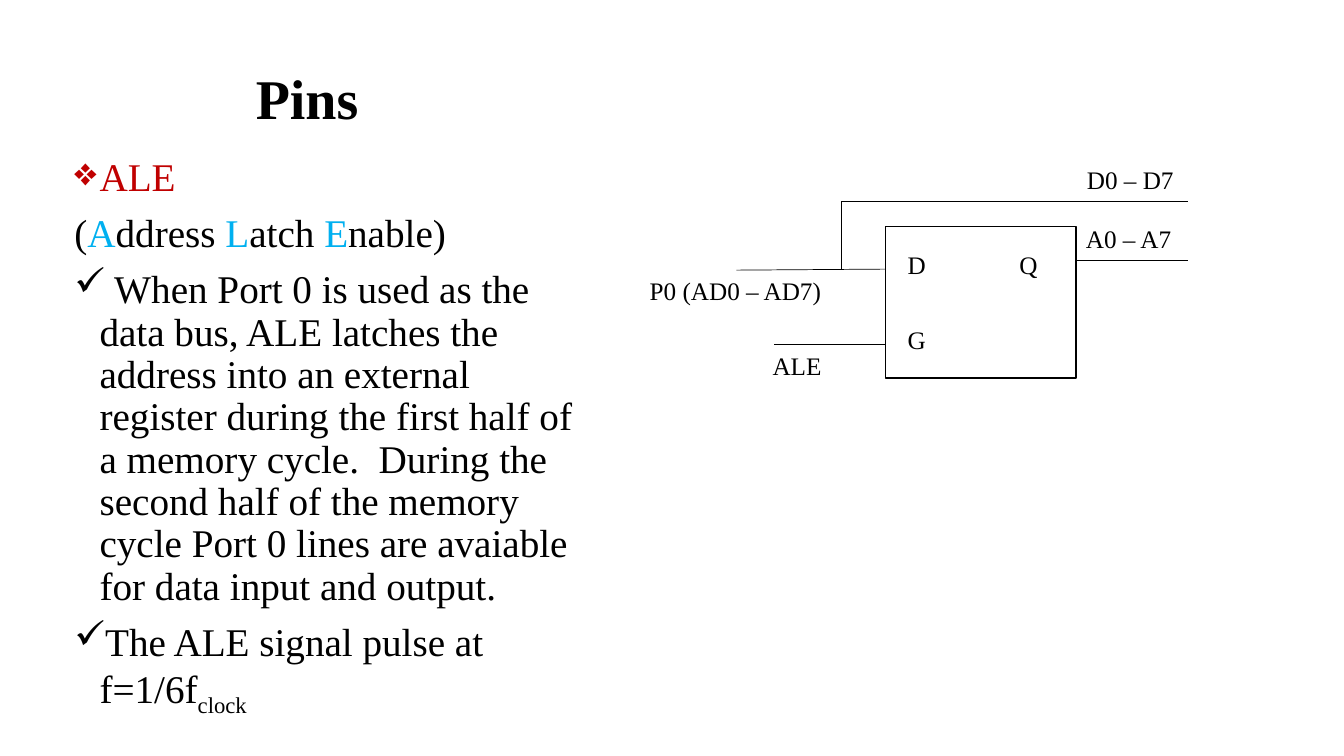
"""Build the slide on the ALE pin and its address latch."""
from lxml.etree import SubElement
from pptx import Presentation
from pptx.dml.color import RGBColor
from pptx.enum.shapes import MSO_CONNECTOR, MSO_SHAPE
from pptx.enum.text import MSO_ANCHOR
from pptx.oxml.ns import qn
from pptx.util import Emu, Pt

PX = 9144
FONT = "Times New Roman"
BLACK, RED, BLUE = "000000", "C00000", "00B0F0"

TITLE = ("Pins", (244, 66, 1089, 70))
BODY_BOX = (64, 151, 518, 533)
BODY = [
    ("❖", RED, [("ALE", RED, 0)]),
    (None, BLACK, [("(", BLACK, 0), ("A", BLUE, 0), ("ddress ", BLACK, 0),
                   ("L", BLUE, 0), ("atch ", BLACK, 0),
                   ("E", BLUE, 0), ("nable)", BLACK, 0)]),
    ("✓", BLACK, [(" When Port 0 is used as the data bus, ALE latches the address "
                   "into an external register during the first half of a memory "
                   "cycle.  During the second half of the memory cycle Port 0 lines "
                   "are avaiable for data input and output.", BLACK, 0)]),
    ("✓", BLACK, [("The ALE signal pulse at f=1/6f", BLACK, 0),
                  ("clock", BLACK, -25000)]),
]
LATCH = (879, 225, 189, 150)
LABELS = [
    ("G", 891, 317, 38), ("D", 891, 242, 38), ("Q", 1002, 242, 38),
    ("A0 – A7", 1068, 217, 106), ("D0 – D7", 1069, 158, 106),
    ("P0 (AD0 – AD7)", 635, 268, 191), ("ALE", 757, 343, 100),
]
LABEL_HEIGHT = 40
WIRES = [
    (1068, 258, 1179, 258), (879, 267, 731, 268), (879, 342, 768, 342),
    (835, 267, 835, 200), (835, 200, 1179, 200),
]


def px(*lengths):
    return [Emu(length * PX) for length in lengths]


def color(code):
    return RGBColor.from_string(code)


def add_box(page, place, wrap=True):
    frame = page.shapes.add_textbox(*px(*place)).text_frame
    frame.word_wrap = wrap
    return frame


def set_font(para, size, bold=False):
    para.font.name = FONT
    para.font.size = Pt(size)
    para.font.bold = bold


def add_span(para, text, code=BLACK, baseline=0):
    span = para.add_run()
    span.text = text
    span.font.color.rgb = color(code)
    if baseline:
        span.font._element.set("baseline", str(baseline))


def set_bullet(para, mark, code):
    props = para._p.get_or_add_pPr()
    props.set("marL", str(25 * PX))
    props.set("indent", str(-25 * PX))
    if mark:
        SubElement(SubElement(props, qn("a:buClr")), qn("a:srgbClr"), val=code)
        SubElement(props, qn("a:buChar"), char=mark)
    else:
        SubElement(props, qn("a:buNone"))


def add_title(page):
    text, place = TITLE
    frame = add_box(page, place)
    frame.vertical_anchor = MSO_ANCHOR.MIDDLE
    para = frame.paragraphs[0]
    para.line_spacing = 0.9
    set_font(para, 40, True)
    add_span(para, text)


def add_body(page):
    frame = add_box(page, BODY_BOX)
    for index, (mark, code, spans) in enumerate(BODY):
        para = frame.add_paragraph() if index else frame.paragraphs[0]
        para.line_spacing = 0.9
        para.space_before = Pt(10)
        set_bullet(para, mark, code)
        set_font(para, 28)
        for span in spans:
            add_span(para, *span)


def add_circuit(page):
    latch = page.shapes.add_shape(MSO_SHAPE.RECTANGLE, *px(*LATCH))
    latch.shadow.inherit = False
    latch.fill.background()
    latch.line.color.rgb = color(BLACK)
    latch.line.width = Pt(1)
    for ends in WIRES:
        wire = page.shapes.add_connector(MSO_CONNECTOR.STRAIGHT, *px(*ends))
        wire.line.color.rgb = color(BLACK)
        wire.line.width = Pt(0.5)
        SubElement(wire._element.spPr, qn("a:effectLst"))
    for text, left, top, width in LABELS:
        frame = add_box(page, (left, top, width, LABEL_HEIGHT), wrap=False)
        para = frame.paragraphs[0]
        set_font(para, 18)
        add_span(para, text)


def main():
    deck = Presentation()
    deck.slide_width, deck.slide_height = px(1334, 750)
    page = deck.slides.add_slide(deck.slide_layouts[6])
    add_body(page)
    add_title(page)
    add_circuit(page)
    deck.save("out.pptx")


if __name__ == "__main__":
    main()
